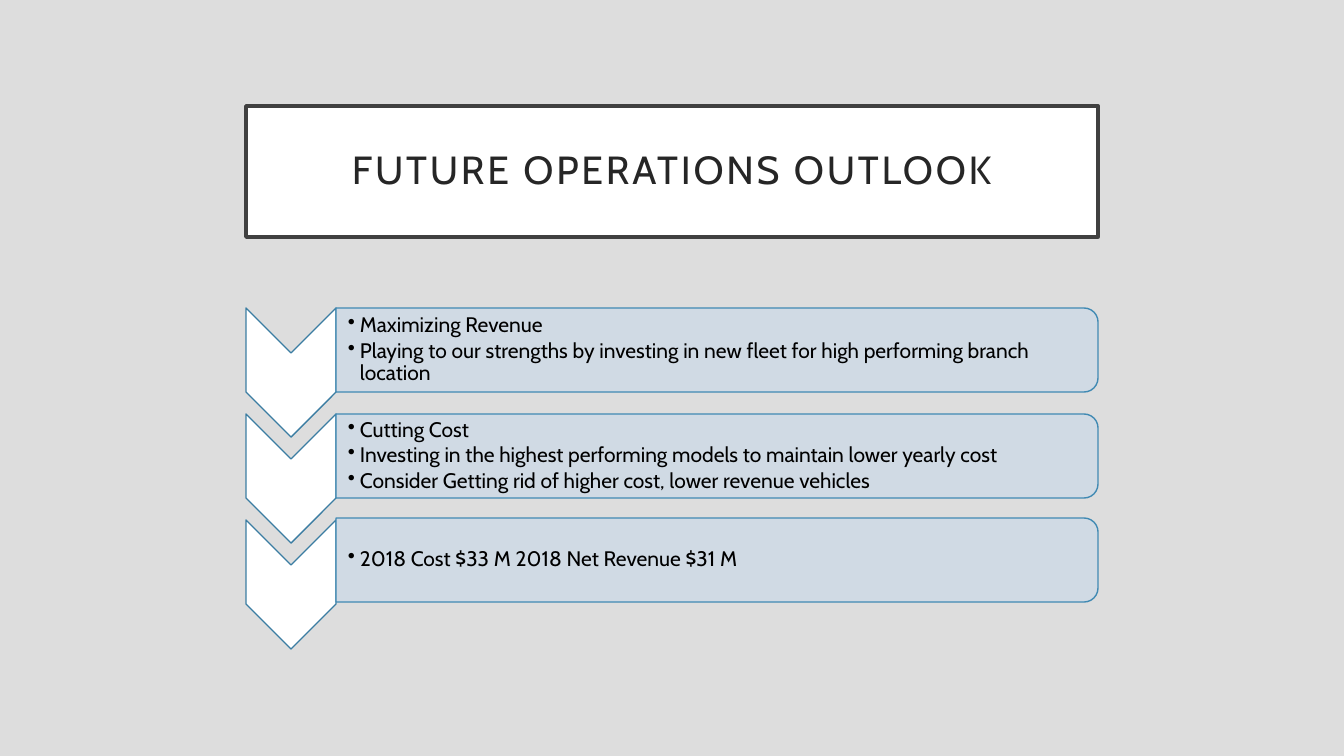
from lxml import etree
from pptx import Presentation
from pptx import util as u
from pptx.dml.color import RGBColor
from pptx.enum import shapes, text
from pptx.oxml import ns

PX = 12192000 / 1344
FONT = "Cabin"
COLORS = {
    "background": "DDDDDD",
    "white": "FFFFFF",
    "title_line": "404040",
    "title_text": "262626",
    "chevron_line": "3B7DA2",
    "panel": "CFDAE5",
    "panel_line": "418AB3",
    "body_text": "000000",
}
ROWS = [
    (0, ["Maximizing Revenue",
         "Playing to our strengths by investing in new fleet for high performing branch location"]),
    (0, ["Cutting Cost",
         "Investing in the highest performing models to maintain lower yearly cost",
         "Consider Getting rid of higher cost, lower revenue vehicles"]),
    (-2, ["2018 Cost $33 M 2018 Net Revenue $31 M"]),
]


def px(n):
    """Turn pixels into EMU."""
    return u.Emu(round(n * PX))


def rgb(name):
    """Look up a named colour."""
    return RGBColor.from_string(COLORS[name])


def paint(sp, fill, line, width):
    """Give a shape its fill and outline."""
    sp.fill.solid()
    sp.fill.fore_color.rgb = rgb(fill)
    sp.line.color.rgb = rgb(line)
    sp.line.width = u.Pt(width)


def set_frame(tf, left, other):
    """Set wrapping, middle anchor and insets of a text frame."""
    tf.word_wrap = True
    tf.auto_size = text.MSO_AUTO_SIZE.NONE
    tf.vertical_anchor = text.MSO_ANCHOR.MIDDLE
    tf.margin_left = px(left)
    tf.margin_top = tf.margin_right = tf.margin_bottom = px(other)


def add_run(p, words, size, color):
    """Add a formatted run to a paragraph."""
    r = p.add_run()
    r.text = words
    r.font.name = FONT
    r.font.size = u.Pt(size)
    r.font.color.rgb = rgb(color)
    return r


def add_title(s, x, y, w, h):
    """Place the framed title."""
    sp = s.shapes.title
    sp.left, sp.top, sp.width, sp.height = map(px, (x, y, w, h))
    paint(sp, "white", "title_line", 2.5)
    set_frame(sp.text_frame, 20, 20)
    p = sp.text_frame.paragraphs[0]
    p.alignment = text.PP_ALIGN.CENTER
    p.line_spacing = 0.9
    r = add_run(p, "FUTURE OPERATIONS OUTLOOK", 28, "title_text")
    r.font._element.set("spc", "200")


def add_turned(s, kind, x, y, w, h, fill, line):
    """Add a shape turned clockwise by 90° that fills the given box."""
    sp = s.shapes.add_shape(kind, px(x + (w - h) / 2), px(y + (h - w) / 2), px(h), px(w))
    sp.rotation = 90
    sp.shadow.inherit = False
    paint(sp, fill, line, 1)
    return sp


def add_bullets(s, x, y, w, h, items):
    """Add a bulleted text box."""
    tf = s.shapes.add_textbox(*map(px, (x, y, w, h))).text_frame
    set_frame(tf, 12, 1)
    for i, item in enumerate(items):
        p = tf.paragraphs[0] if i == 0 else tf.add_paragraph()
        p.level = 1
        p.alignment = text.PP_ALIGN.LEFT
        p.line_spacing = 0.9
        p.space_after = u.Pt(2)
        pPr = p._p.get_or_add_pPr()
        pPr.set("marL", str(px(12)))
        pPr.set("indent", str(px(-12)))
        etree.SubElement(pPr, ns.qn("a:buChar")).set("char", "•")
        add_run(p, item, 15, "body_text")


def add_row(s, x, y, w, shift, items):
    """Place a chevron and the panel to its right."""
    chevron_w, chevron_h, panel_h, inset = 90, 129, 84, 4
    panel_x, panel_y, panel_w = x + chevron_w, y + shift, w - chevron_w
    add_turned(s, shapes.MSO_SHAPE.CHEVRON, x, y, chevron_w, chevron_h, "white", "chevron_line")
    panel = add_turned(s, shapes.MSO_SHAPE.ROUND_2_SAME_RECTANGLE, panel_x, panel_y,
                       panel_w, panel_h, "panel", "panel_line")
    color = panel._element.spPr.find(ns.qn("a:solidFill"))[0]
    etree.SubElement(color, ns.qn("a:alpha")).set("val", "90000")
    add_bullets(s, panel_x, panel_y + inset, panel_w - inset, panel_h - 2 * inset, items)


def add_rows(s, x, y, w, pitch):
    """Stack the chevron rows at an equal pitch."""
    for i, (shift, items) in enumerate(ROWS):
        add_row(s, x, y + i * pitch, w, shift, items)


def main():
    """Build and save the slide."""
    prs = Presentation()
    prs.slide_width, prs.slide_height = px(1344), px(756)
    s = prs.slides.add_slide(prs.slide_layouts[5])
    s.background.fill.solid()
    s.background.fill.fore_color.rgb = rgb("background")
    add_title(s, 246, 106, 852, 131)
    add_rows(s, 246, 308, 852, 106)
    prs.save("out.pptx")


if __name__ == "__main__":
    main()
